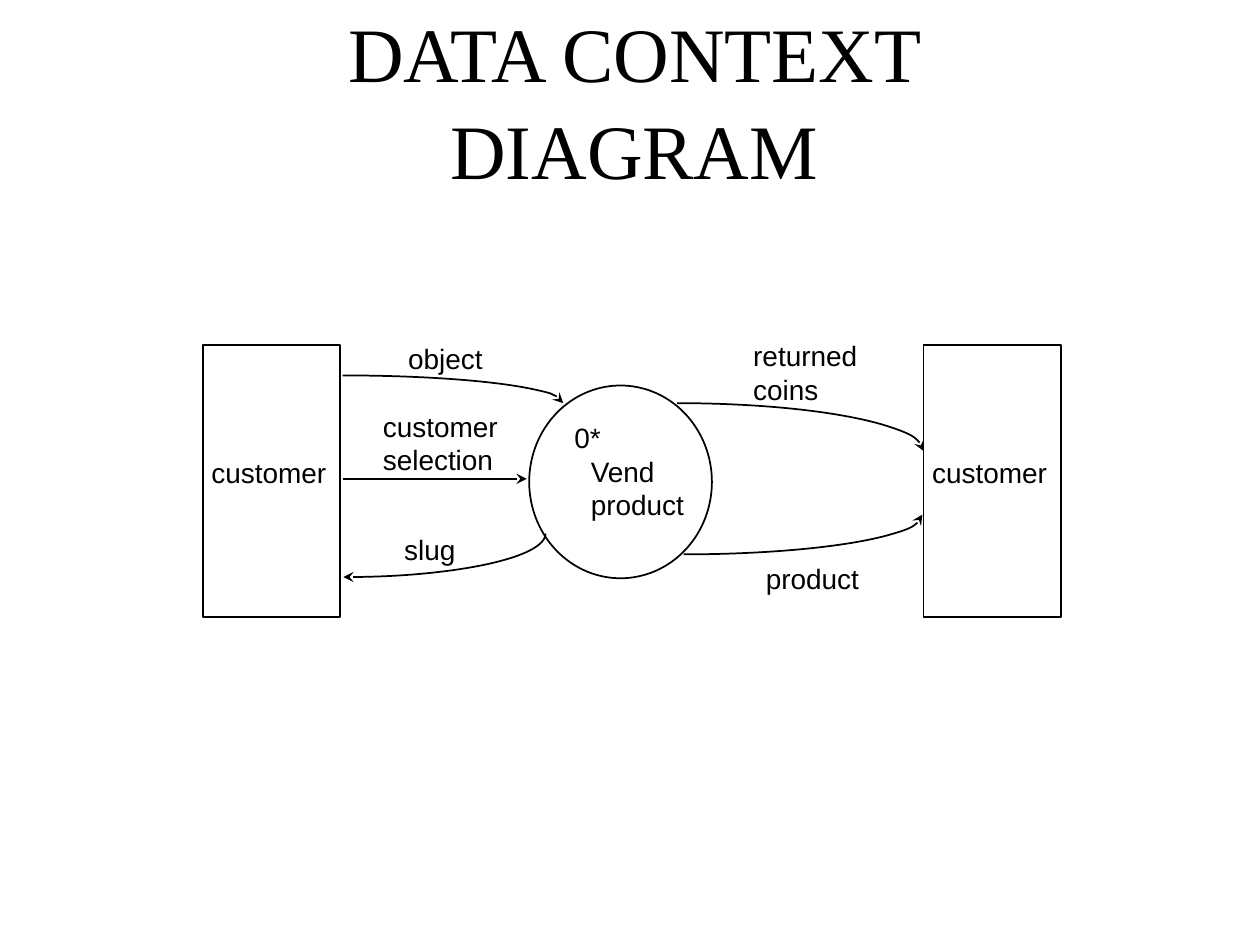
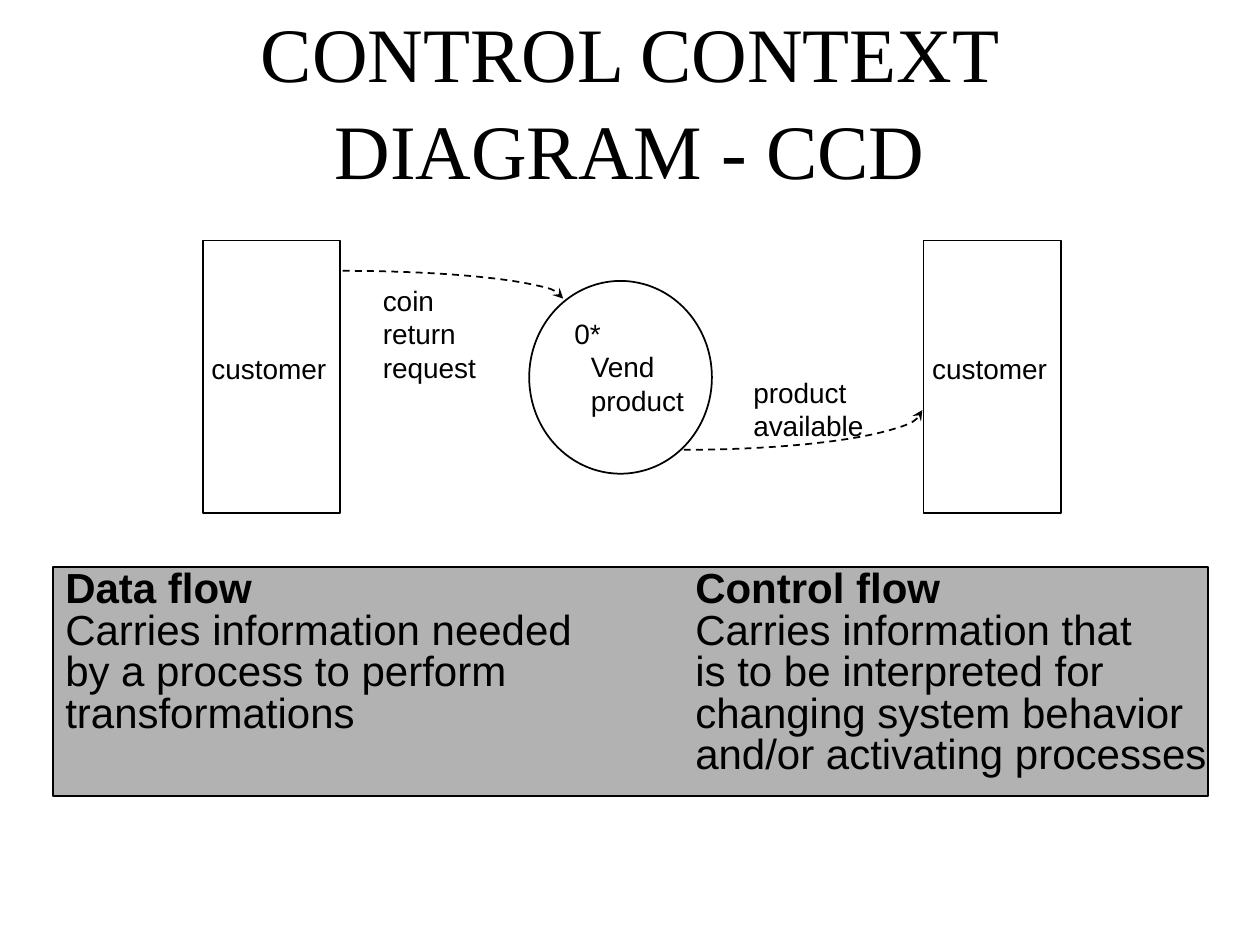
"""Build the data and control context diagram slides."""
import dataclasses
import typing

import lxml.etree
import pptx
import pptx.dml.color
import pptx.enum.dml
import pptx.enum.shapes
import pptx.enum.text
import pptx.oxml.ns
import pptx.util

PX = 9144
SHAPE = pptx.enum.shapes.MSO_SHAPE
ANCHOR = pptx.enum.text.MSO_ANCHOR
FIT = pptx.enum.text.MSO_AUTO_SIZE
qn = pptx.oxml.ns.qn
Box = tuple[int, int, int, int]


@dataclasses.dataclass(frozen=True)
class Theme:
    ink: str = "000000"
    paper: str = "FFFFFF"
    panel: str = "B2B2B2"
    title_font: str = "Times New Roman"
    body_font: str = "Arial"
    title_size: int = 44
    label_size: int = 16
    panel_size: int = 24
    title_spacing: float = 1.05
    panel_spacing: float = 23.7
    line_width: int = 1


class Label(typing.NamedTuple):
    x: int
    y: int
    w: int
    lines: tuple[str, ...]
    indents: tuple[int, ...] = (0, 0, 0)


class Node(typing.NamedTuple):
    kind: SHAPE
    box: Box
    label: Label


class Flow(typing.NamedTuple):
    box: Box
    sweep: tuple[int, int]
    arrow: str = "tailEnd"


class Diagram(typing.NamedTuple):
    title: str
    title_box: Box
    dy: int
    dashed: bool
    flows: tuple[Flow, ...]
    labels: tuple[Label, ...]


THEME = Theme()
TOP_RIGHT, BOTTOM_RIGHT = (270, 0), (0, 90)
NODES = (
    Node(SHAPE.RECTANGLE, (161, 274, 109, 216), Label(158, 357, 111, ("customer",))),
    Node(SHAPE.OVAL, (420, 306, 145, 153),
         Label(434, 329, 119, ("0*", "Vend", "product"), (12, 25, 25))),
    Node(SHAPE.RECTANGLE, (733, 274, 109, 216), Label(730, 357, 111, ("customer",))),
)
INTO_PROCESS = Flow((97, 298, 350, 44), TOP_RIGHT)
SLUG = Flow((112, 389, 321, 69), BOTTOM_RIGHT)
RETURNED_COINS = Flow((342, 320, 391, 76), TOP_RIGHT)
PRODUCT = Flow((353, 377, 379, 63), BOTTOM_RIGHT, "headEnd")
SELECTION = (272, 380, 418, 380)

DATA = Diagram(
    "DATA CONTEXT DIAGRAM", (175, 0, 657, 156), 0, False,
    (INTO_PROCESS, SLUG, RETURNED_COINS, PRODUCT),
    (Label(314, 266, 79, ("object",)), Label(598, 441, 94, ("product",)),
     Label(588, 264, 103, ("returned", "coins")),
     Label(294, 320, 111, ("customer", "selection")), Label(311, 418, 61, ("slug",))),
)
CONTROL = Diagram(
    "CONTROL CONTEXT DIAGRAM - CCD", (75, 0, 850, 156), -83, True,
    (INTO_PROCESS, PRODUCT),
    (Label(294, 303, 94, ("coin", "return", "request")),
     Label(588, 376, 108, ("product", "available"))),
)
PANEL_BOX = (42, 450, 917, 182)
PANEL_TAB = 500
PANEL_ROWS = (
    ("Data flow", "Control flow"),
    ("Carries information needed", "Carries information that"),
    ("by a process to perform", "is to be interpreted for"),
    ("transformations", "changing system behavior"),
    ("", "and/or activating processes"),
)


def emu(*lengths: int) -> list[int]:
    """Turn px lengths into EMU."""
    return [length * PX for length in lengths]


def shifted(box: Box, dy: int) -> list[int]:
    """Move a px box down by dy and return it in EMU."""
    x, y, w, h = box
    return emu(x, y + dy, w, h)


def rgb(value: str) -> pptx.dml.color.RGBColor:
    """Return a colour from its hex digits."""
    return pptx.dml.color.RGBColor.from_string(value)


def apply(target: typing.Any, formats: dict[str, typing.Any]) -> None:
    """Set every format value on the target."""
    for name, value in formats.items():
        setattr(target, name, value)


def write(p: typing.Any, text: str, font: str, size: int, bold: bool = False) -> None:
    """Add one formatted run to a paragraph."""
    r = p.add_run()
    r.text = text
    apply(r.font, {"name": font, "size": pptx.util.Pt(size), "bold": bold})
    r.font.color.rgb = rgb(THEME.ink)


def outline(sp: typing.Any, dashed: bool = False, arrow: str = "") -> None:
    """Draw the thin ink line, with an optional dash and arrowhead."""
    sp.line.color.rgb = rgb(THEME.ink)
    sp.line.width = pptx.util.Pt(THEME.line_width)
    if dashed:
        sp.line.dash_style = pptx.enum.dml.MSO_LINE.DASH
    if arrow:
        ln = sp._element.spPr.find(qn("a:ln"))
        lxml.etree.SubElement(ln, qn(f"a:{arrow}")).set("type", "stealth")


def add_filled(shapes: typing.Any, kind: SHAPE, box: list[int], fill: str) -> typing.Any:
    """Add an outlined, filled preset shape."""
    sp = shapes.add_shape(kind, *box)
    sp.shadow.inherit = False
    sp.fill.solid()
    sp.fill.fore_color.rgb = rgb(fill)
    outline(sp)
    return sp


def add_label(shapes: typing.Any, label: Label, dy: int) -> None:
    """Add an unwrapped label, one paragraph a line."""
    height = 10 + 27 * len(label.lines)
    tf = shapes.add_textbox(*shifted((label.x, label.y, label.w, height), dy)).text_frame
    apply(tf, {"word_wrap": False, "auto_size": FIT.SHAPE_TO_FIT_TEXT})
    for i, (line, indent) in enumerate(zip(label.lines, label.indents)):
        p = tf.add_paragraph() if i else tf.paragraphs[0]
        if indent:
            p._p.get_or_add_pPr().set("marL", str(indent * PX))
        write(p, line, THEME.body_font, THEME.label_size)


def add_flow(shapes: typing.Any, flow: Flow, dy: int, dashed: bool) -> None:
    """Add a curved flow as a quarter arc."""
    sp = shapes.add_shape(SHAPE.ARC, *shifted(flow.box, dy))
    sp.shadow.inherit = False
    sp.fill.background()
    for i, angle in enumerate(flow.sweep):
        sp.adjustments[i] = angle * 0.6
    outline(sp, dashed, flow.arrow)


def add_selection(shapes: typing.Any) -> None:
    """Add the straight customer selection arrow."""
    line = shapes.add_connector(pptx.enum.shapes.MSO_CONNECTOR.STRAIGHT, *emu(*SELECTION))
    outline(line, arrow="tailEnd")
    lxml.etree.SubElement(line._element.spPr, qn("a:effectLst"))


def add_title(s: typing.Any, text: str, box: Box) -> None:
    """Fill and place the title placeholder."""
    sp = s.shapes.title
    apply(sp, dict(zip(("left", "top", "width", "height"), emu(*box))))
    tf = sp.text_frame
    apply(tf, {"word_wrap": True, "auto_size": FIT.NONE, "vertical_anchor": ANCHOR.MIDDLE})
    p = tf.paragraphs[0]
    apply(p, {"alignment": pptx.enum.text.PP_ALIGN.CENTER,
              "line_spacing": THEME.title_spacing})
    write(p, text, THEME.title_font, THEME.title_size)


def add_panel(s: typing.Any) -> None:
    """Add the grey comparison of data flow and control flow."""
    tf = add_filled(s.shapes, SHAPE.RECTANGLE, emu(*PANEL_BOX), THEME.panel).text_frame
    apply(tf, {"word_wrap": True, "vertical_anchor": ANCHOR.TOP,
               "margin_top": 3 * PX, "margin_right": 0})
    for i, row in enumerate(PANEL_ROWS):
        p = tf.add_paragraph() if i else tf.paragraphs[0]
        apply(p, {"alignment": pptx.enum.text.PP_ALIGN.LEFT,
                  "line_spacing": pptx.util.Pt(THEME.panel_spacing)})
        tabs = lxml.etree.SubElement(p._p.get_or_add_pPr(), qn("a:tabLst"))
        lxml.etree.SubElement(tabs, qn("a:tab"), pos=str(PANEL_TAB * PX), algn="l")
        write(p, "\t".join(row), THEME.body_font, THEME.panel_size, bold=i == 0)


def add_diagram(prs: typing.Any, diagram: Diagram) -> typing.Any:
    """Add a slide with its title, nodes, flows and labels."""
    s = prs.slides.add_slide(prs.slide_layouts[5])
    shapes = s.shapes.add_group_shape().shapes
    for node in NODES:
        add_filled(shapes, node.kind, shifted(node.box, diagram.dy), THEME.paper)
        add_label(shapes, node.label, diagram.dy)
    for flow in diagram.flows:
        add_flow(shapes, flow, diagram.dy, diagram.dashed)
    for label in diagram.labels:
        add_label(shapes, label, diagram.dy)
    if not diagram.dashed:
        add_selection(shapes)
    add_title(s, diagram.title, diagram.title_box)
    return s


def main() -> None:
    """Build both slides and save them."""
    prs = pptx.Presentation()
    apply(prs, dict(zip(("slide_width", "slide_height"), emu(1000, 750))))
    add_diagram(prs, DATA)
    add_panel(add_diagram(prs, CONTROL))
    prs.save("out.pptx")


if __name__ == "__main__":
    main()
